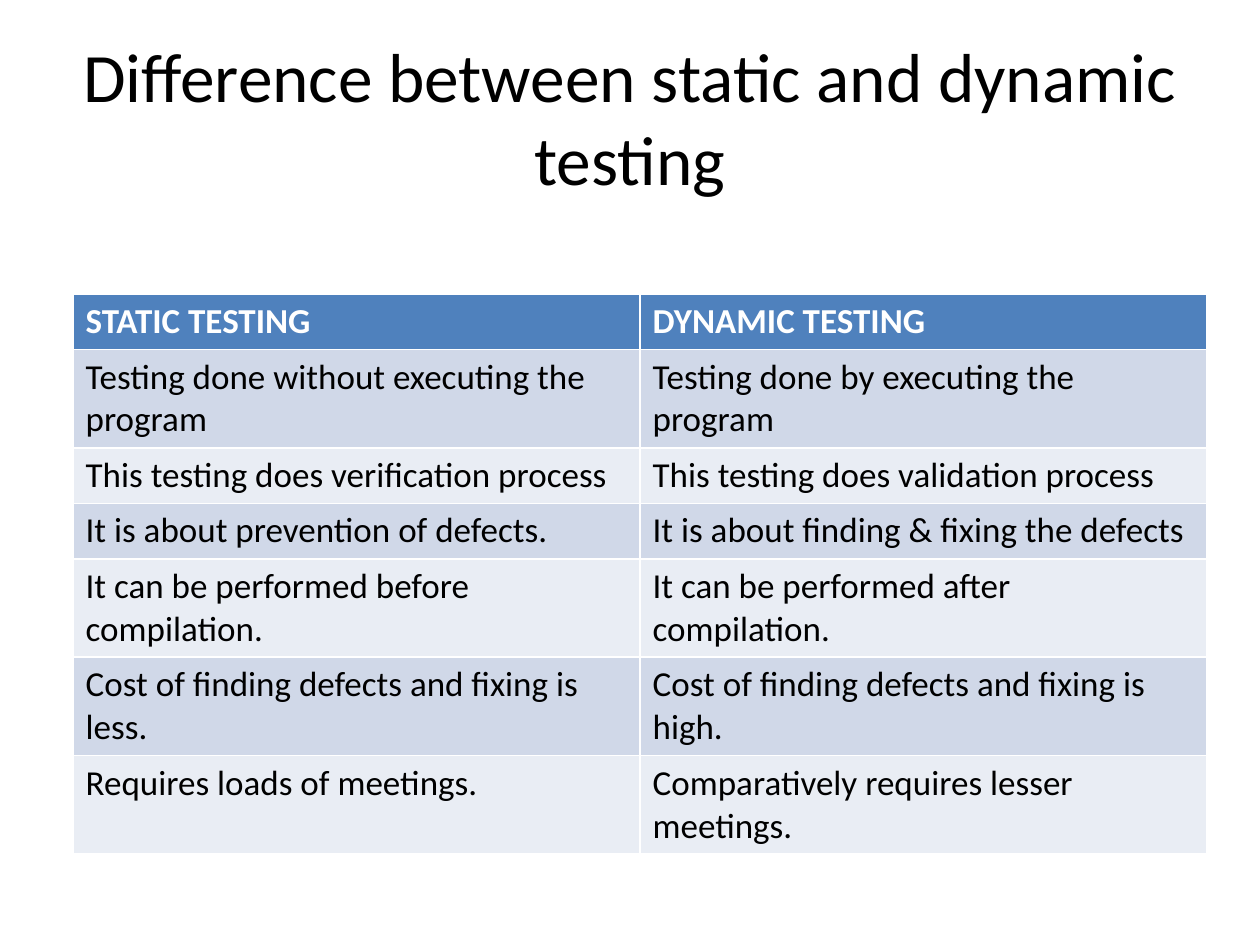
from typing import NamedTuple

from pptx import Presentation
from pptx import util as u
from pptx.dml import color
from pptx.enum import text as t

COLORS = {
    "ink": "000000",
    "header": "4F81BD",
    "header_text": "FFFFFF",
    "odd_band": "D0D8E8",
    "even_band": "E9EDF4",
}
FONT = "Calibri"
WIDTH, HEIGHT = u.Inches(10), u.Inches(7.5)
ROW_HEIGHT = u.Inches(0.41)


class Area(NamedTuple):
    left: float
    top: float
    width: float


class Contrast(NamedTuple):
    static: str
    dynamic: str


TITLE_AREA = Area(0.05, 0.04, 0.9)
TABLE_AREA = Area(0.058, 0.311, 0.9)
TITLE_HEIGHT = u.Inches(1.25)

CONTRASTS = [
    Contrast("STATIC TESTING", "DYNAMIC TESTING"),
    Contrast("Testing done without executing the program",
             "Testing done by executing the program"),
    Contrast("This testing does verification process",
             "This testing does validation process"),
    Contrast("It is about prevention of defects.",
             "It is about finding & fixing the defects"),
    Contrast("It can be performed before compilation.",
             "It can be performed after compilation."),
    Contrast("Cost of finding defects and fixing is less.",
             "Cost of finding defects and fixing is high."),
    Contrast("Requires loads of meetings.",
             "Comparatively requires lesser meetings."),
]


def rgb(name: str) -> color.RGBColor:
    return color.RGBColor.from_string(COLORS[name])


def place(area: Area) -> tuple[int, int, int]:
    return (round(area.left * WIDTH), round(area.top * HEIGHT),
            round(area.width * WIDTH))


def write(frame, wording: str, *, size: float, ink: str = "ink",
          bold: bool = False, align=t.PP_ALIGN.LEFT) -> None:
    para = frame.paragraphs[0]
    para.alignment = align
    span = para.add_run()
    span.text = wording
    span.font.name = FONT
    span.font.size = u.Pt(size)
    span.font.bold = bold
    span.font.color.rgb = rgb(ink)


def draw_title(page, wording: str) -> None:
    box = page.shapes.title
    box.left, box.top, box.width = place(TITLE_AREA)
    box.height = TITLE_HEIGHT
    frame = box.text_frame
    frame.word_wrap = True
    frame.auto_size = t.MSO_AUTO_SIZE.NONE
    frame.vertical_anchor = t.MSO_ANCHOR.MIDDLE
    write(frame, wording, size=39.6, align=t.PP_ALIGN.CENTER)


def draw_table(page, contrasts: list[Contrast]) -> None:
    count = len(contrasts)
    table = page.shapes.add_table(
        count, len(Contrast._fields), *place(TABLE_AREA), ROW_HEIGHT * count
    ).table
    for row, contrast in enumerate(contrasts):
        header = row == 0
        band = "header" if header else "odd_band" if row % 2 else "even_band"
        for column, wording in enumerate(contrast):
            cell = table.cell(row, column)
            cell.fill.solid()
            cell.fill.fore_color.rgb = rgb(band)
            write(cell.text_frame, wording, size=20, bold=header,
                  ink="header_text" if header else "ink")


def main() -> None:
    deck = Presentation()
    deck.slide_width, deck.slide_height = WIDTH, HEIGHT
    page = deck.slides.add_slide(deck.slide_layouts.get_by_name("Title Only"))
    draw_title(page, "Difference between static and dynamic testing")
    draw_table(page, CONTRASTS)
    deck.save("out.pptx")


if __name__ == "__main__":
    main()
